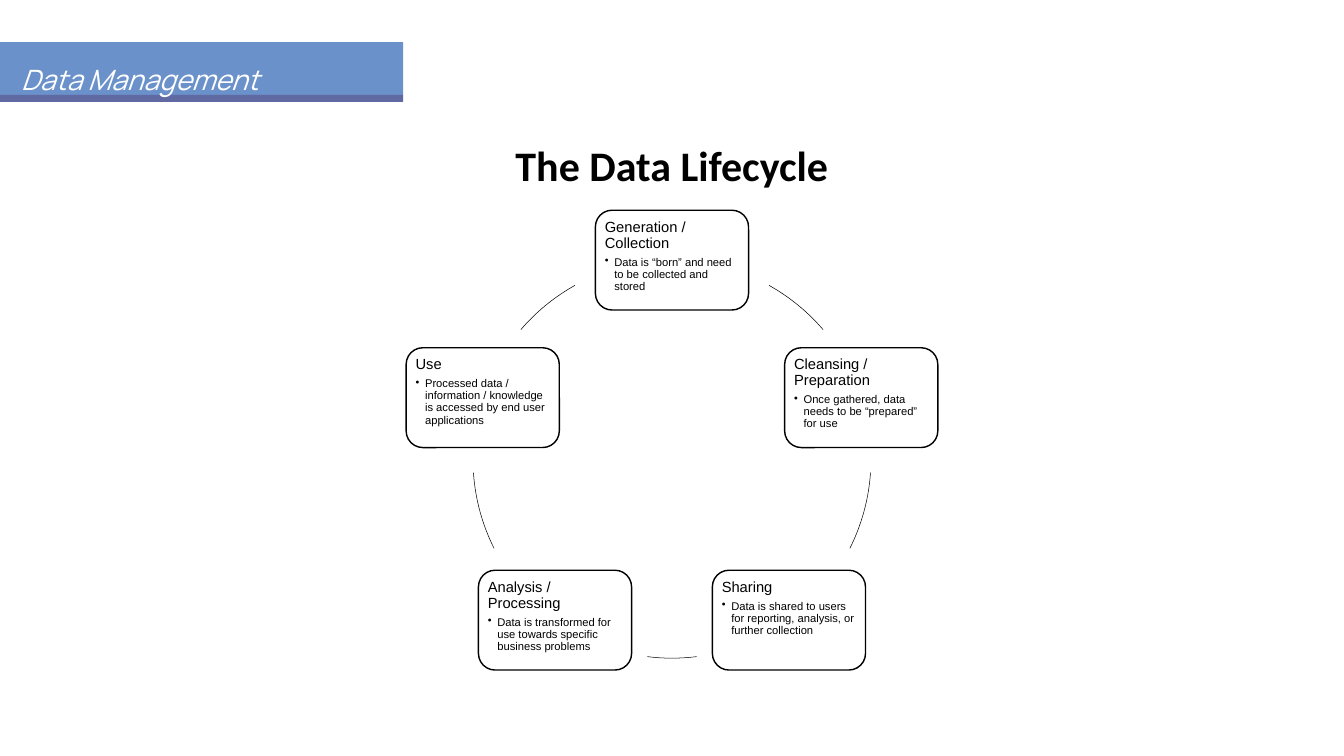
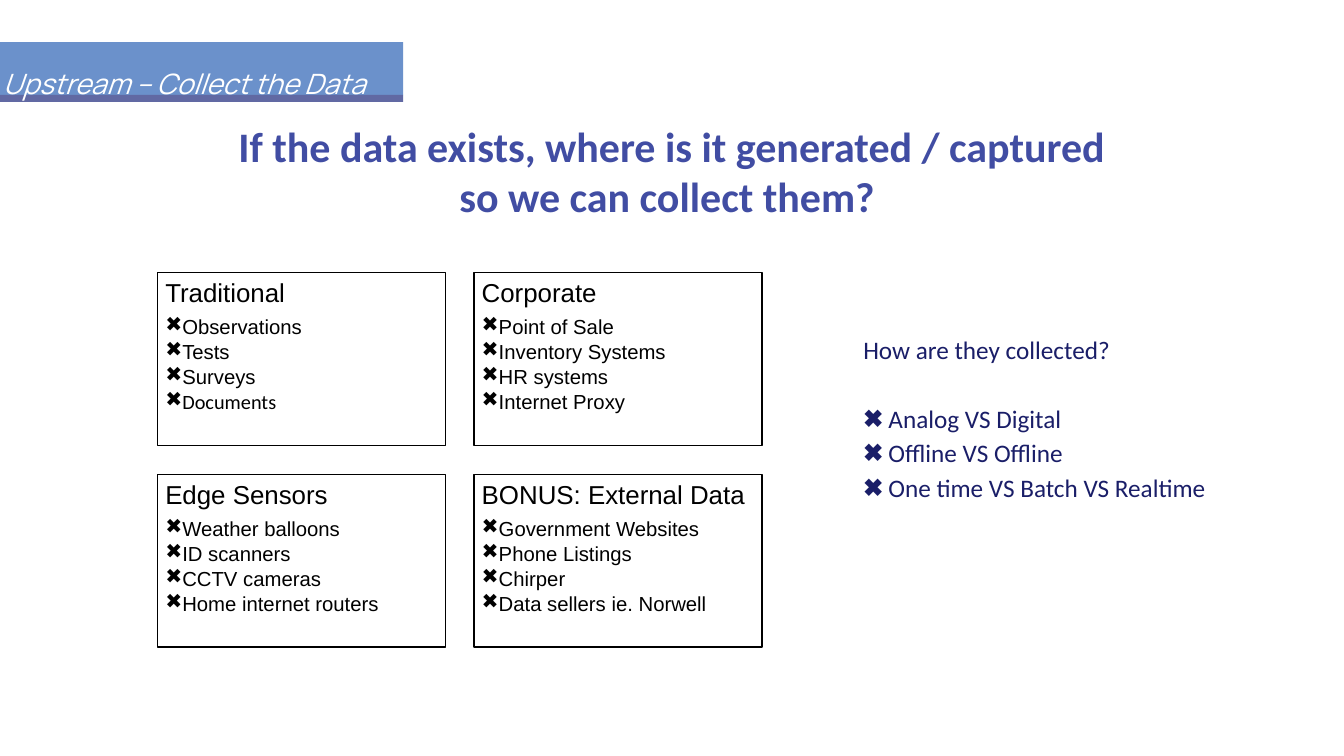
import math

import pptx
import pptx.dml.color
import pptx.enum.shapes
import pptx.enum.text
import pptx.oxml
import pptx.oxml.ns
import pptx.util

Cm = pptx.util.Cm
SHAPE = pptx.enum.shapes.MSO_SHAPE
ANCHOR = pptx.enum.text.MSO_ANCHOR
ALIGN = pptx.enum.text.PP_ALIGN

COLOURS = {
    "black": "000000",
    "white": "FFFFFF",
    "band": "6B91CB",
    "band edge": "6169A3",
    "question": "414DA3",
    "answer": "1A1E68",
}


def add_shape(page, kind, left, top, width, height, fill=None, line=None, weight=2):
    """Add a preset shape measured in centimetres, with named colours."""
    shape = page.shapes.add_shape(kind, Cm(left), Cm(top), Cm(width), Cm(height))
    shape.shadow.inherit = False
    if fill:
        shape.fill.solid()
        shape.fill.fore_color.rgb = pptx.dml.color.RGBColor.from_string(COLOURS[fill])
    else:
        shape.fill.background()
    if line:
        shape.line.color.rgb = pptx.dml.color.RGBColor.from_string(COLOURS[line])
        shape.line.width = pptx.util.Pt(weight)
    else:
        shape.line.fill.background()
    return shape


def write_paragraph(frame, text, size, font="Arial", colour="black", bold=False,
                    italic=False, align=ALIGN.LEFT, spacing=1.0, before=0,
                    bullet=None, hang=0, level=0):
    """Fill the empty first paragraph of a frame, or append another one."""
    para = frame.paragraphs[0] if not frame.text else frame.add_paragraph()
    properties = para._p.get_or_add_pPr()
    properties.set("marL", str(Cm(hang)))
    properties.set("indent", str(-Cm(hang)))
    namespace = pptx.oxml.ns.nsdecls("a")
    if bullet:
        marks = [
            f'<a:buClr {namespace}><a:srgbClr val="{COLOURS[colour]}"/></a:buClr>',
            f'<a:buChar {namespace} char="{bullet}"/>',
        ]
    else:
        marks = [f"<a:buNone {namespace}/>"]
    for mark in marks:
        properties.append(pptx.oxml.parse_xml(mark))
    para.level = level
    para.alignment = align
    para.line_spacing = spacing
    para.space_before = pptx.util.Pt(before)
    span = para.add_run()
    span.text = text
    span.font.size = pptx.util.Pt(size)
    span.font.name = font
    span.font.bold = bold
    span.font.italic = italic
    span.font.color.rgb = pptx.dml.color.RGBColor.from_string(COLOURS[colour])


deck = pptx.Presentation()
deck.slide_width = Cm(67.74)
deck.slide_height = Cm(38.1)
lifecycle = deck.slides.add_slide(deck.slide_layouts[5])
upstream = deck.slides.add_slide(deck.slide_layouts[1])
frames = []  # (text frame, vertical anchor, inset in centimetres)

# Section band and title of each slide
headers = [
    (lifecycle, "Data Management", (0.91, 2.29, 18.49, 2.13),
     "The Data Lifecycle", "black", (15.6, 5.87, 36.53, 3.96)),
    (upstream, "Upstream – Collect the Data", (0, 2.54, 27.18, 2.13),
     "If the data exists, where is it generated / captured so we can collect them? ",
     "question", (11.13, 7.44, 45.47, 3.96)),
]
for page, section, section_area, heading, colour, title_area in headers:
    add_shape(page, SHAPE.RECTANGLE, 0, 2.13, 20.32, 2.67, fill="band")
    add_shape(page, SHAPE.RECTANGLE, 0, 4.78, 20.32, 0.36, fill="band edge")

    label = page.shapes.add_textbox(*map(Cm, section_area))
    write_paragraph(label.text_frame, section, 40, font="Manrope", colour="white",
                    italic=True, spacing=1.73)
    frames.append((label.text_frame, ANCHOR.MIDDLE, 0.15))

    title = page.shapes.title
    title.left, title.top, title.width, title.height = map(Cm, title_area)
    write_paragraph(title.text_frame, heading, 60, font="Calibri", colour=colour,
                    bold=True, align=ALIGN.CENTER)
    frames.append((title.text_frame, ANCHOR.BOTTOM, 0.25))

# Lifecycle: five stages clockwise around a ring, joined by arcs
CENTRE_X, CENTRE_Y, RADIUS = 33.87, 23.14, 10.03
STAGE_WIDTH, STAGE_HEIGHT = 7.72, 5.03
stages = [
    ("Generation / Collection", "Data is “born” and need to be collected and stored"),
    ("Cleansing / Preparation", "Once gathered, data needs to be “prepared” for use"),
    ("Sharing", "Data is shared to users for reporting, analysis, or further collection"),
    ("Analysis / Processing",
     "Data is transformed for use towards specific business problems"),
    ("Use",
     "Processed data / information / knowledge is accessed by end user applications"),
]
arcs = [(299.2, 319.4), (3.9, 26.6), (82.9, 97.1), (153.4, 176.1), (220.6, 240.8)]
ARC_UNITS_PER_DEGREE = 0.6
for index, ((name, detail), ends) in enumerate(zip(stages, arcs)):
    angle = math.radians(72 * index - 90)
    stage = add_shape(
        lifecycle, SHAPE.ROUNDED_RECTANGLE,
        CENTRE_X + RADIUS * math.cos(angle) - STAGE_WIDTH / 2,
        CENTRE_Y + RADIUS * math.sin(angle) - STAGE_HEIGHT / 2,
        STAGE_WIDTH, STAGE_HEIGHT, fill="white", line="black")
    write_paragraph(stage.text_frame, name, 21, spacing=0.9)
    write_paragraph(stage.text_frame, detail, 16, spacing=0.9, before=7.3,
                    bullet="•", hang=0.48, level=1)
    frames.append((stage.text_frame, ANCHOR.TOP, 0.23))

    arc = add_shape(lifecycle, SHAPE.ARC, CENTRE_X - RADIUS, CENTRE_Y - RADIUS,
                    2 * RADIUS, 2 * RADIUS, line="black", weight=0.75)
    for end, degrees in enumerate(ends):
        arc.adjustments[end] = degrees * ARC_UNITS_PER_DEGREE

# Upstream: two by two grid of data sources
sources = [
    ("Traditional", ["Observations", "Tests", "Surveys", "Documents"]),
    ("Corporate", ["Point of Sale", "Inventory Systems", "HR systems", "Internet Proxy"]),
    ("Edge Sensors",
     ["Weather balloons", "ID scanners", "CCTV cameras", "Home internet routers"]),
    ("BONUS: External Data",
     ["Government Websites", "Phone Listings", "Chirper", "Data sellers ie. Norwell"]),
]
for index, (name, examples) in enumerate(sources):
    row, column = divmod(index, 2)
    source = add_shape(upstream, SHAPE.RECTANGLE, 7.95 + 15.95 * column,
                       13.74 + 10.16 * row, 14.5, 8.71, fill="white", line="black")
    write_paragraph(source.text_frame, name, 37, spacing=0.9)
    for position, example in enumerate(examples):
        write_paragraph(source.text_frame, example, 29,
                        font="Calibri" if example == "Documents" else "Arial",
                        spacing=0.9, before=4.3 if position else 12.9,
                        bullet="✖", hang=0.79, level=1)
    frames.append((source.text_frame, ANCHOR.TOP, 0.38))

# Upstream: ways of collecting
methods = upstream.placeholders[1]
methods.left, methods.top, methods.width, methods.height = map(
    Cm, (43.26, 16.61, 19.25, 11.91))
write_paragraph(methods.text_frame, "How are they collected?", 36, font="Calibri",
                colour="answer")
choices = ["Analog VS Digital", "Offline VS Offline", "One time VS Batch VS Realtime"]
for position, choice in enumerate(choices):
    write_paragraph(methods.text_frame, choice, 36, font="Calibri", colour="answer",
                    before=6 if position else 55, bullet="✖", hang=1.27)
frames.append((methods.text_frame, ANCHOR.TOP, 0.25))

for frame, anchor, inset in frames:
    frame.word_wrap = True
    frame.auto_size = pptx.enum.text.MSO_AUTO_SIZE.NONE
    frame.vertical_anchor = anchor
    frame.margin_left = frame.margin_right = Cm(inset)
    frame.margin_top = frame.margin_bottom = Cm(inset)

deck.save("out.pptx")
